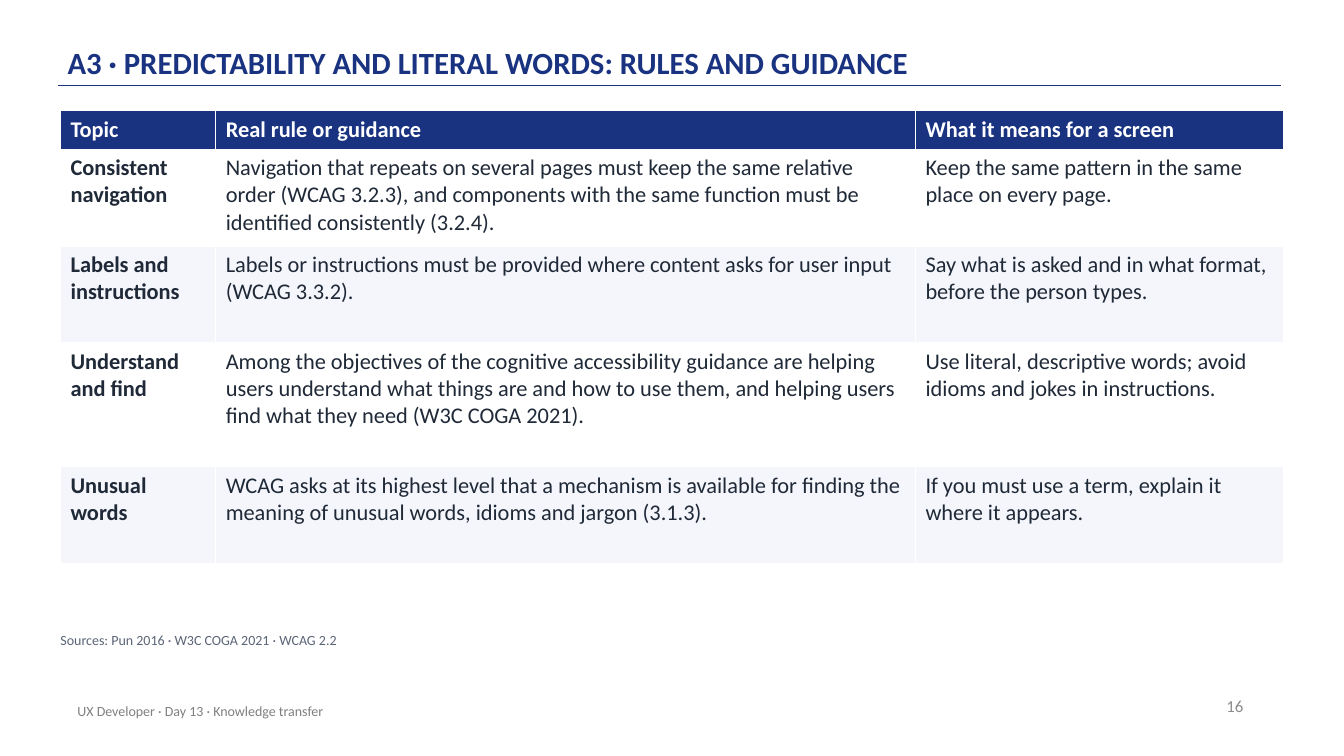
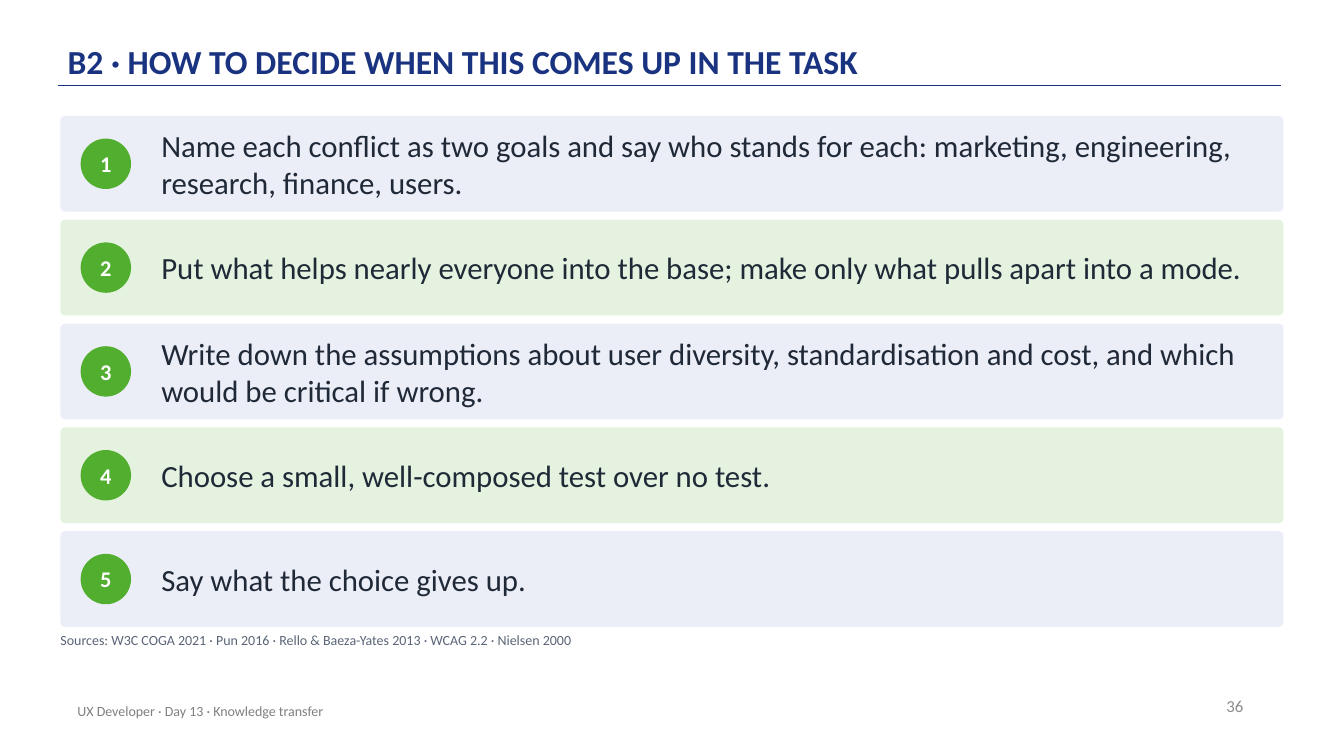
from lxml import etree
from pptx import Presentation
from pptx.dml.color import RGBColor
from pptx.enum.shapes import MSO_CONNECTOR, MSO_SHAPE
from pptx.enum.text import MSO_ANCHOR, MSO_AUTO_SIZE, PP_ALIGN
from pptx.oxml.ns import qn
from pptx.util import Inches, Pt

LEFT, CENTER, RIGHT = PP_ALIGN.LEFT, PP_ALIGN.CENTER, PP_ALIGN.RIGHT
TOP, MIDDLE, BOTTOM = MSO_ANCHOR.TOP, MSO_ANCHOR.MIDDLE, MSO_ANCHOR.BOTTOM
LINE = MSO_CONNECTOR.STRAIGHT
ROUND, OVAL = MSO_SHAPE.ROUNDED_RECTANGLE, MSO_SHAPE.OVAL
NO_FIT = MSO_AUTO_SIZE.NONE

FONT = "Calibri"
NAVY, GREEN, INK, WHITE = "1A3381", "51AE2F", "1F2937", "FFFFFF"
SLATE, GRAY, SILVER = "5B6577", "808080", "8C8C8C"
BANDS = ("ECEEF7", "E5F2DF")
ROWS = ("FFFFFF", "F4F6FB")
EDGE, WIDE = 0.6, 12.13
FOOT = "UX Developer · Day 13 · Knowledge transfer"

RULES = [
    ("Topic", "Real rule or guidance", "What it means for a screen"),
    ("Consistent navigation",
     "Navigation that repeats on several pages must keep the same relative "
     "order (WCAG 3.2.3), and components with the same function must be "
     "identified consistently (3.2.4).",
     "Keep the same pattern in the same place on every page."),
    ("Labels and instructions",
     "Labels or instructions must be provided where content asks for user "
     "input (WCAG 3.3.2).",
     "Say what is asked and in what format, before the person types."),
    ("Understand and find",
     "Among the objectives of the cognitive accessibility guidance are "
     "helping users understand what things are and how to use them, and "
     "helping users find what they need (W3C COGA 2021).",
     "Use literal, descriptive words; avoid idioms and jokes in "
     "instructions."),
    ("Unusual words",
     "WCAG asks at its highest level that a mechanism is available for "
     "finding the meaning of unusual words, idioms and jargon (3.1.3).",
     "If you must use a term, explain it where it appears."),
]
STEPS = [
    "Name each conflict as two goals and say who stands for each: marketing, "
    "engineering, research, finance, users.",
    "Put what helps nearly everyone into the base; make only what pulls apart "
    "into a mode.",
    "Write down the assumptions about user diversity, standardisation and "
    "cost, and which would be critical if wrong.",
    "Choose a small, well-composed test over no test.",
    "Say what the choice gives up.",
]


def rgb(color):
    return RGBColor.from_string(color)


def box(left, top, width, height):
    return [Inches(v) for v in (left, top, width, height)]


def write(frame, text, size=16, color=INK, bold=False, align=LEFT):
    """Put one formatted paragraph in a text frame and return it."""
    para = frame.paragraphs[0]
    para.alignment = align
    run = para.add_run()
    run.text = text
    font = run.font
    font.name, font.size, font.bold = FONT, Pt(size), bold
    font.color.rgb = rgb(color)
    return para


def inset(frame, side=0, end=0):
    frame.margin_left = frame.margin_right = Inches(side)
    frame.margin_top = frame.margin_bottom = Inches(end)


def label(slide, place, text, anchor=MIDDLE, flush=False, **style):
    """Add a wrapping text box; flush drops its margins."""
    frame = slide.shapes.add_textbox(*box(*place)).text_frame
    frame.word_wrap = True
    frame.vertical_anchor = anchor
    if flush:
        inset(frame)
    return write(frame, text, **style)


def panel(slide, kind, place, fill):
    shape = slide.shapes.add_shape(kind, *box(*place))
    shape.shadow.inherit = False
    shape.fill.solid()
    shape.fill.fore_color.rgb = rgb(fill)
    shape.line.fill.background()
    return shape


def rule(slide):
    line = slide.shapes.add_connector(
        LINE, Inches(0.58), Inches(0.85), Inches(12.71), Inches(0.85))
    line.line.color.rgb = rgb(NAVY)
    line.line.width = Pt(1)
    etree.SubElement(line._element.spPr, qn("a:effectLst"))


def setup(layout):
    """Place the title once, for every slide on the layout."""
    title = layout.placeholders[0]
    title.left, title.top, title.width, title.height = box(0.67, 0.12, 11, 0.72)
    frame = title.text_frame
    frame.auto_size = NO_FIT
    frame.vertical_anchor = BOTTOM
    inset(frame, end=0.03)


def page(deck, layout, title, size, number, sources):
    slide = deck.slides.add_slide(layout)
    rule(slide)
    para = write(slide.shapes.title.text_frame, title, size=size, color=NAVY,
                 bold=True)
    para.line_spacing = 0.9
    label(slide, (9.43, 6.8, 3, 0.4), number, size=12, color=SILVER,
          align=RIGHT)
    label(slide, (0.67, 6.85, 6.7, 0.4), FOOT, size=10, color=GRAY)
    label(slide, (EDGE, 6.27, 12.1, 0.3), sources, anchor=TOP, flush=True,
          size=10, color=SLATE)
    return slide


def grid(slide, data, widths, heights):
    place = box(EDGE, 1.1, sum(widths), sum(heights))
    table = slide.shapes.add_table(len(data), len(widths), *place).table
    for col, width in zip(table.columns, widths):
        col.width = Inches(width)
    for r, (row, height) in enumerate(zip(data, heights)):
        table.rows[r].height = Inches(height)
        head = r == 0
        for c, text in enumerate(row):
            cell = table.cell(r, c)
            cell.fill.solid()
            cell.fill.fore_color.rgb = rgb(NAVY if head else ROWS[(r - 1) % 2])
            write(cell.text_frame, text, color=WHITE if head else INK,
                  bold=head or c == 0)


def steps(slide, items):
    """Stack numbered bands in alternating colours."""
    high, pitch, dot = 0.95, 1.03, 0.5
    for i, text in enumerate(items):
        top = 1.15 + i * pitch
        band = panel(slide, ROUND, (EDGE, top, WIDE, high), BANDS[i % 2])
        band.adjustments[0] = 0.05
        disc = panel(slide, OVAL, (0.8, top + (high - dot) / 2, dot, dot), GREEN)
        frame = disc.text_frame
        inset(frame)
        frame.vertical_anchor = MIDDLE
        write(frame, str(i + 1), color=WHITE, bold=True, align=CENTER)
        label(slide, (1.6, top, 10.93, high), text, flush=True, size=22)


def main():
    deck = Presentation()
    deck.slide_width, deck.slide_height = Inches(13.33), Inches(7.5)
    layout = deck.slide_layouts[5]
    setup(layout)

    slide = page(deck, layout,
                 "A3 · PREDICTABILITY AND LITERAL WORDS: RULES AND GUIDANCE",
                 22, "16", "Sources: Pun 2016 · W3C COGA 2021 · WCAG 2.2")
    grid(slide, RULES, (1.54, 6.94, 3.65), (0.38, 0.96, 0.96, 1.23, 0.96))

    slide = page(deck, layout,
                 "B2 · HOW TO DECIDE WHEN THIS COMES UP IN THE TASK",
                 24, "36", "Sources: W3C COGA 2021 · Pun 2016 · "
                 "Rello & Baeza-Yates 2013 · WCAG 2.2 · Nielsen 2000")
    steps(slide, STEPS)
    deck.save("out.pptx")


if __name__ == "__main__":
    main()
